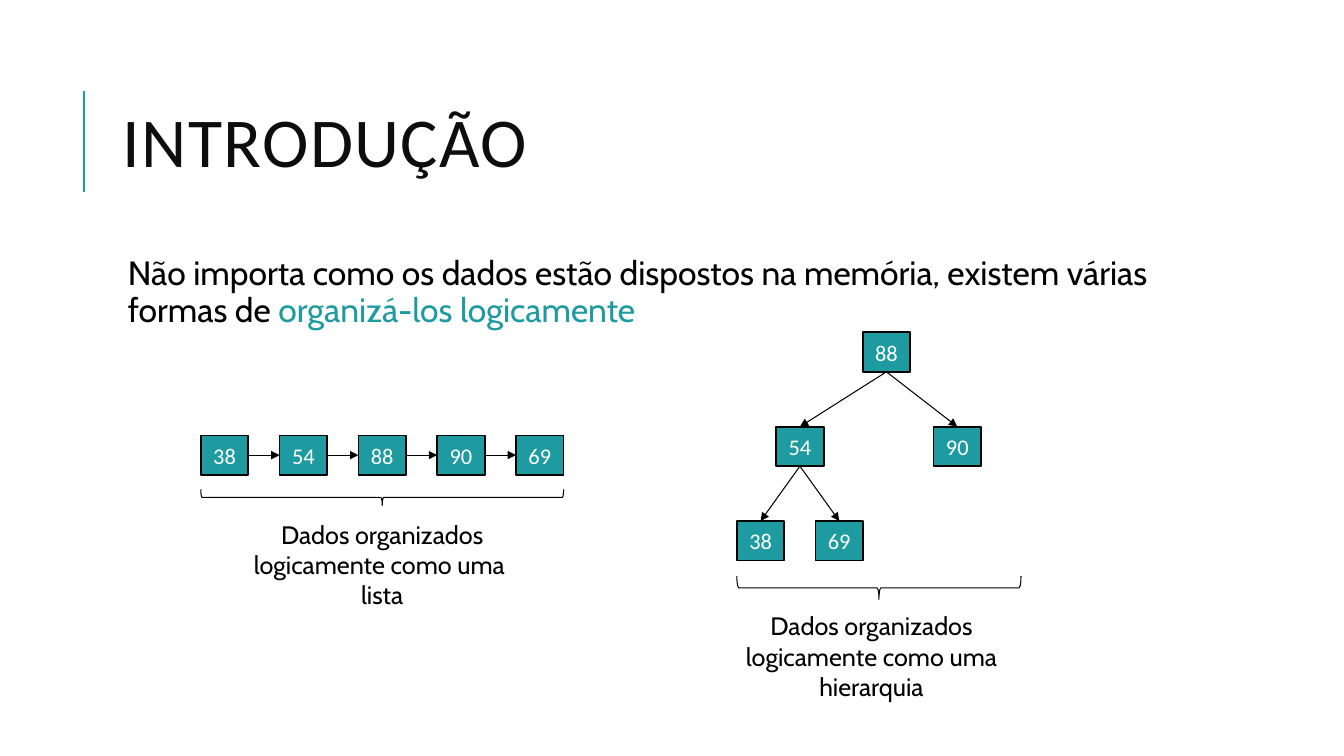
from dataclasses import dataclass

import pptx
import pptx.dml.color
import pptx.enum.shapes
import pptx.enum.text
import pptx.oxml.ns
import pptx.util
from lxml import etree

Pt = pptx.util.Pt
MSO_SHAPE = pptx.enum.shapes.MSO_SHAPE
ANCHOR = pptx.enum.text.MSO_ANCHOR
ALIGN = pptx.enum.text.PP_ALIGN
qn = pptx.oxml.ns.qn
BOTTOM, LEFT, RIGHT, TOP = 2, 1, 3, 0


@dataclass(frozen=True)
class Theme:
    accent: str = "1D9BA1"
    ink: str = "000000"
    title_ink: str = "0D0D0D"
    paper: str = "FFFFFF"
    title_font: str = "Calibri"
    text_font: str = "Cabin"
    title_size: float = 50
    body_size: float = 24
    caption_size: float = 18
    node_size: float = 16
    rule: float = 1.5
    border: float = 1.25
    thin: float = 0.75


THEME = Theme()
NODE_W, NODE_H = 34, 28.2
LIST_LEFT, LIST_TOP, LIST_STEP = 143.4, 311, 56.3
LIST_VALUES = ("38", "54", "88", "90", "69")
TREE_TOP, LEVEL_STEP = 237.4, 67.4
# value: (left, level, parent)
TREE = {
    "88": (616.2, 0, None),
    "54": (554.4, 1, "88"),
    "90": (666.8, 1, "88"),
    "38": (526.3, 2, "54"),
    "69": (582.5, 2, "54"),
}


def rgb(color):
    return pptx.dml.color.RGBColor.from_string(color)


def add_run(p, text, font, size, color):
    r = p.add_run()
    r.text = text
    r.font.name = font
    r.font.size = Pt(size)
    r.font.color.rgb = rgb(color)
    return r


def set_line(sp, color, width):
    sp.line.color.rgb = rgb(color)
    sp.line.width = Pt(width)


def add_text_box(s, left, top, width, height):
    sp = s.shapes.add_textbox(Pt(left), Pt(top), Pt(width), Pt(height))
    tf = sp.text_frame
    tf.word_wrap = True
    return tf


def add_title(s, text):
    tf = add_text_box(s, 80.6, 46.1, 765.4, 118.1)
    tf.vertical_anchor = ANCHOR.MIDDLE
    p = tf.paragraphs[0]
    p.line_spacing = 0.8
    r = add_run(p, text, THEME.title_font, THEME.title_size, THEME.title_ink)
    r.font._element.set("spc", "100")


def add_body(s, runs):
    tf = add_text_box(s, 80.6, 180, 765.4, 316.8)
    tf.margin_left = Pt(10.8)
    tf.margin_top = tf.margin_right = tf.margin_bottom = Pt(3.6)
    p = tf.paragraphs[0]
    p.line_spacing = 0.9
    p.space_before, p.space_after = Pt(12), Pt(2)
    for text, color in runs:
        add_run(p, text, THEME.text_font, THEME.body_size, color)


def add_caption(s, left, top, width, lines):
    tf = add_text_box(s, left, top, width, 72.7)
    tf.auto_size = pptx.enum.text.MSO_AUTO_SIZE.SHAPE_TO_FIT_TEXT
    p = tf.paragraphs[0]
    p.alignment = ALIGN.CENTER
    for i, line in enumerate(lines):
        if i:
            p.add_line_break()
        add_run(p, line, THEME.text_font, THEME.caption_size, THEME.ink)


def add_node(s, left, top, value):
    sp = s.shapes.add_shape(MSO_SHAPE.RECTANGLE, Pt(left), Pt(top), Pt(NODE_W), Pt(NODE_H))
    sp.shadow.inherit = False
    sp.fill.solid()
    sp.fill.fore_color.rgb = rgb(THEME.accent)
    set_line(sp, THEME.ink, THEME.border)
    tf = sp.text_frame
    tf.vertical_anchor = ANCHOR.MIDDLE
    p = tf.paragraphs[0]
    p.alignment = ALIGN.CENTER
    add_run(p, value, THEME.title_font, THEME.node_size, THEME.paper)
    return sp


def add_line(s, x1, y1, x2, y2, color, width):
    sp = s.shapes.add_connector(
        pptx.enum.shapes.MSO_CONNECTOR.STRAIGHT, Pt(x1), Pt(y1), Pt(x2), Pt(y2))
    set_line(sp, color, width)
    etree.SubElement(sp._element.spPr, qn("a:effectLst"))
    return sp


def add_arrow(s, start, start_side, end, end_side):
    sp = add_line(s, 0, 0, 0, 0, THEME.ink, THEME.thin)
    sp.begin_connect(start, start_side)
    sp.end_connect(end, end_side)
    etree.SubElement(sp.line._get_or_add_ln(), qn("a:tailEnd"), type="triangle")


def add_brace(s, left, top, width, depth):
    """Brace that opens upwards; the box given is the one seen after rotation."""
    x = left + (width - depth) / 2
    y = top - (width - depth) / 2
    sp = s.shapes.add_shape(MSO_SHAPE.RIGHT_BRACE, Pt(x), Pt(y), Pt(depth), Pt(width))
    sp.rotation = 90
    sp.shadow.inherit = False
    sp.fill.background()
    set_line(sp, THEME.ink, THEME.thin)


def add_list(s):
    nodes = [add_node(s, LIST_LEFT + i * LIST_STEP, LIST_TOP, value)
             for i, value in enumerate(LIST_VALUES)]
    for start, end in zip(nodes, nodes[1:]):
        add_arrow(s, start, RIGHT, end, LEFT)
    width = LIST_STEP * (len(nodes) - 1) + NODE_W
    add_brace(s, LIST_LEFT, 349.6, width, 11.5)
    add_caption(s, LIST_LEFT, 367.2, width,
                ("Dados organizados", "logicamente como uma ", "lista"))


def add_tree(s):
    nodes = {value: add_node(s, left, TREE_TOP + level * LEVEL_STEP, value)
             for value, (left, level, _) in TREE.items()}
    for value, (_, _, parent) in TREE.items():
        if parent:
            add_arrow(s, nodes[parent], BOTTOM, nodes[value], TOP)
    add_brace(s, 526.3, 411.6, 203, 16.6)
    add_caption(s, 509.8, 432.7, 225.4,
                ("Dados organizados logicamente como uma hierarquia",))


def main():
    prs = pptx.Presentation()
    prs.slide_width, prs.slide_height = Pt(960), Pt(540)
    s = prs.slides.add_slide(prs.slide_layouts[6])
    s.background.fill.solid()
    s.background.fill.fore_color.rgb = rgb(THEME.paper)
    add_line(s, 60, 136.8, 60, 64.8, THEME.accent, THEME.rule)
    add_title(s, "INTRODUÇÃO")
    add_body(s, (
        ("Não importa como os dados estão dispostos na memória, "
         "existem várias formas de ", THEME.ink),
        ("organizá-los logicamente", THEME.accent),
    ))
    add_list(s)
    add_tree(s)
    prs.save("out.pptx")


if __name__ == "__main__":
    main()
